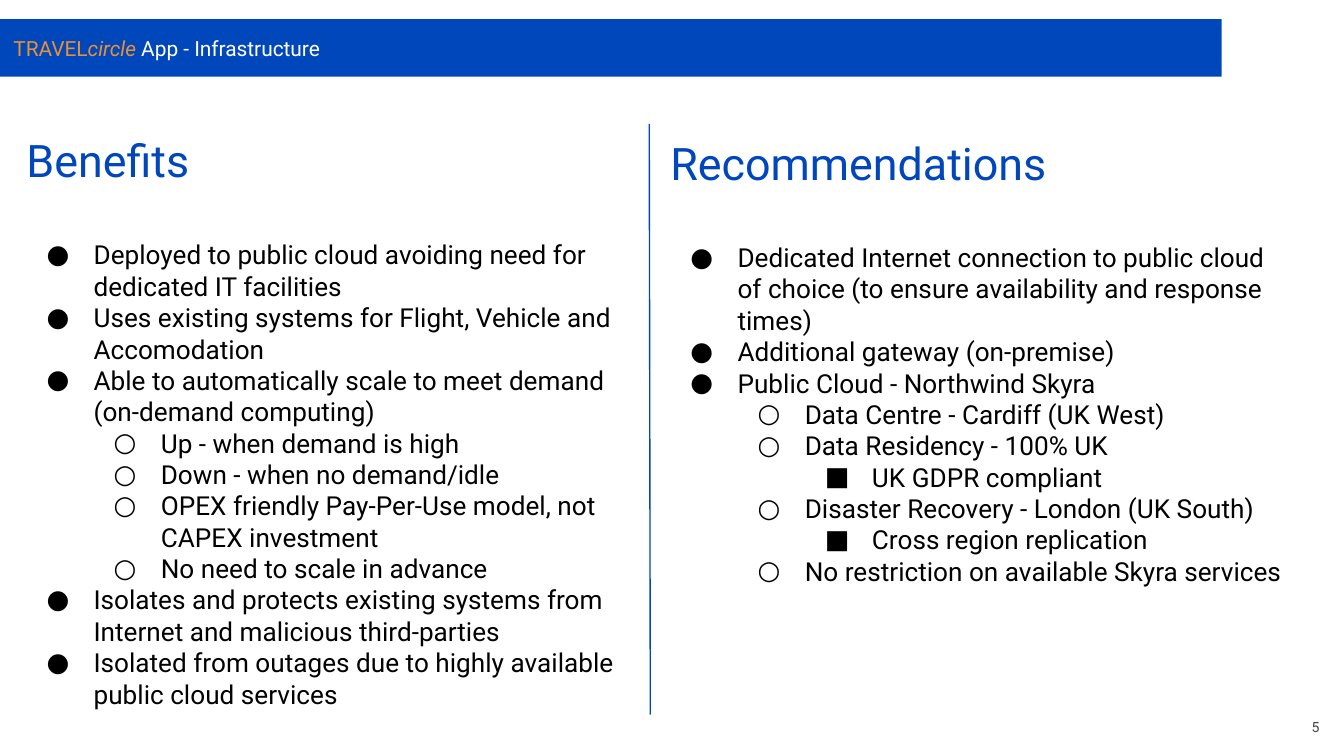
"""Build the app infrastructure slide with its benefits and recommendations."""
from lxml import etree
from pptx import Presentation
from pptx import util as u
from pptx.dml.color import RGBColor
from pptx.enum import shapes, text
from pptx.oxml.ns import qn

BLUE, ORANGE, BLACK, GREY, WHITE = "0047BB", "E69138", "000000", "424242", "FFFFFF"
BULLETS = "●○■"


def add_run(p, words, size, color, italic=False):
    r = p.add_run()
    r.text = words
    r.font.name = "Roboto"
    r.font.size = u.Pt(size)
    r.font.italic = italic
    r.font.color.rgb = RGBColor.from_string(color)


def set_bullet(p, level):
    p.level = level
    pPr = p._p.get_or_add_pPr()
    pPr.set("marL", str(u.Cm(1.27 * (level + 1))))
    pPr.set("indent", str(u.Cm(-0.89)))
    clr = etree.SubElement(pPr, qn("a:buClr"))
    etree.SubElement(clr, qn("a:srgbClr"), val=BLACK)
    etree.SubElement(pPr, qn("a:buFont"), typeface="Roboto")
    etree.SubElement(pPr, qn("a:buChar"), char=BULLETS[level])


prs = Presentation()
prs.slide_width, prs.slide_height = u.Cm(25.4), u.Cm(14.29)
s = prs.slides.add_slide(prs.slide_layouts[5])

title = s.shapes.title
title.left, title.top, title.width, title.height = u.Cm(0), u.Cm(0.36), u.Cm(23.09), u.Cm(1.09)
title.fill.solid()
title.fill.fore_color.rgb = RGBColor.from_string(BLUE)
tf = title.text_frame
tf.auto_size = text.MSO_AUTO_SIZE.NONE
tf.vertical_anchor = text.MSO_ANCHOR.MIDDLE
p = tf.paragraphs[0]
p.alignment = text.PP_ALIGN.LEFT
add_run(p, "TRAVEL", 11.2, ORANGE)
add_run(p, "circle", 11.2, ORANGE, italic=True)
add_run(p, " App - Infrastructure", 11.2, WHITE)

columns = [
    ("Benefits", 0.25, 2.26, 11.43, [
        (0, "Deployed to public cloud avoiding need for dedicated IT facilities"),
        (0, "Uses existing systems for Flight, Vehicle and Accomodation"),
        (0, "Able to automatically scale to meet demand (on-demand computing)"),
        (1, "Up - when demand is high"),
        (1, "Down - when no demand/idle"),
        (1, "OPEX friendly Pay-Per-Use model, not CAPEX investment"),
        (1, "No need to scale in advance"),
        (0, "Isolates and protects existing systems from Internet and malicious third-parties"),
        (0, "Isolated from outages due to highly available public cloud services"),
    ]),
    ("Recommendations", 12.42, 2.31, 10.24, [
        (0, "Dedicated Internet connection to public cloud of choice "
            "(to ensure availability and response times)"),
        (0, "Additional gateway (on-premise)"),
        (0, "Public Cloud - Northwind Skyra"),
        (1, "Data Centre - Cardiff (UK West)"),
        (1, "Data Residency - 100% UK"),
        (2, "UK GDPR compliant"),
        (1, "Disaster Recovery - London (UK South)"),
        (2, "Cross region replication"),
        (1, "No restriction on available Skyra services"),
    ]),
]
for heading, left, top, height, items in columns:
    sp = s.shapes.add_textbox(u.Cm(left), u.Cm(top), u.Cm(12.07), u.Cm(height))
    tf = sp.text_frame
    tf.word_wrap = True
    tf.margin_left = tf.margin_right = tf.margin_top = tf.margin_bottom = u.Cm(0.25)
    p = tf.paragraphs[0]
    p.space_after = u.Pt(28)
    add_run(p, heading, 24, BLUE)
    for level, words in items:
        p = tf.add_paragraph()
        set_bullet(p, level)
        add_run(p, words, 14, BLACK)

divider = s.shapes.add_connector(
    shapes.MSO_CONNECTOR.STRAIGHT, u.Cm(12.27), u.Cm(2.34), u.Cm(12.29), u.Cm(13.51))
divider.line.color.rgb = RGBColor.from_string(BLUE)
divider.line.width = u.Pt(0.75)
etree.SubElement(divider._element.spPr, qn("a:effectLst"))

number = s.shapes.add_textbox(u.Cm(23.67), u.Cm(13.06), u.Cm(1.52), u.Cm(1.09))
tf = number.text_frame
tf.word_wrap = True
tf.vertical_anchor = text.MSO_ANCHOR.BOTTOM
tf.margin_bottom = u.Cm(0.25)
p = tf.paragraphs[0]
p.alignment = text.PP_ALIGN.RIGHT
add_run(p, "5", 7.5, GREY)

prs.save("out.pptx")
